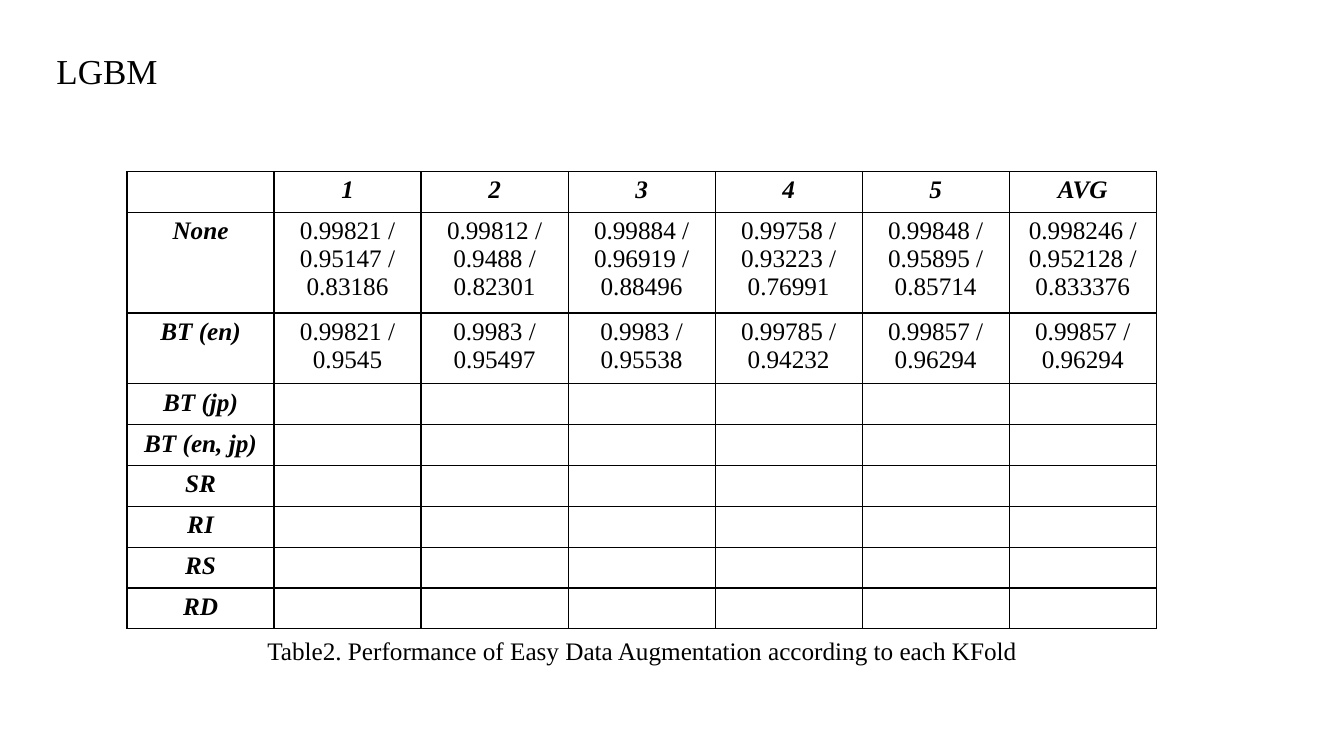
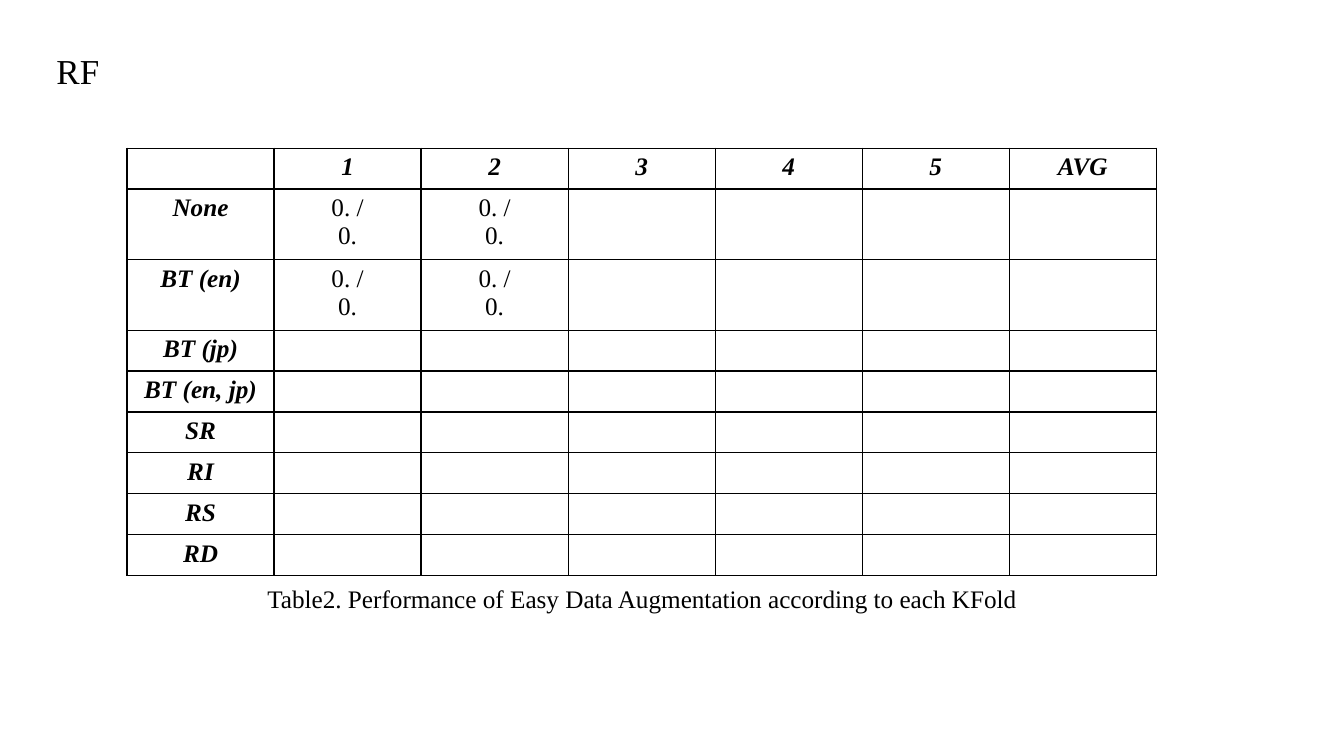
from dataclasses import dataclass

from lxml.etree import SubElement
from pptx import Presentation
from pptx.dml.color import RGBColor
from pptx.enum.text import MSO_ANCHOR, PP_ALIGN
from pptx.oxml.ns import qn
from pptx.util import Inches, Pt


@dataclass(frozen=True)
class Theme:
    font: str = "Times New Roman"
    ink: str = "000000"
    paper: str = "FFFFFF"
    title: int = 25
    body: int = 18
    border: int = 1


T = Theme()
CAPTION = "Table2. Performance of Easy Data Augmentation according to each KFold"
FOLDS = ["", "1", "2", "3", "4", "5", "AVG"]
METHODS = ["None", "BT (en)", "BT (jp)", "BT (en, jp)", "SR", "RI", "RS", "RD"]
ROW_HEIGHTS = {1: 3.65 / 9, 2: 0.7, 3: 1.0}  # by number of text lines

# Per slide: title, table top, caption top, scores by method
SLIDES = [
    ("LGBM", 1.7, 6.25, {
        "None": ["0.99821 /\n0.95147 /\n0.83186", "0.99812 /\n0.9488 /\n0.82301",
                 "0.99884 /\n0.96919 /\n0.88496", "0.99758 /\n0.93223 /\n0.76991",
                 "0.99848 /\n0.95895 /\n0.85714", "0.998246 /\n0.952128 /\n0.833376"],
        "BT (en)": ["0.99821 / 0.9545", "0.9983 /\n0.95497", "0.9983 /\n0.95538",
                    "0.99785 /\n0.94232", "0.99857 /\n0.96294", "0.99857 /\n0.96294"],
    }),
    ("RF", 1.47, 5.74, {
        "None": ["0. /\n0."] * 2,
        "BT (en)": ["0. /\n0."] * 2,
    }),
]


def write(tf, text, size=T.body, align=PP_ALIGN.CENTER, **style):
    """Fill a text frame, one paragraph per line of text."""
    tf.text = text
    for p in tf.paragraphs:
        p.alignment = align
        p.line_spacing = 1.0
        for r in p.runs:
            r.font.color.rgb = RGBColor.from_string(T.ink)
            for name, value in {"name": T.font, "size": Pt(size), **style}.items():
                setattr(r.font, name, value)


def add_borders(cell):
    tcPr = cell._tc.get_or_add_tcPr()
    for side in ("a:lnL", "a:lnR", "a:lnT", "a:lnB"):
        ln = SubElement(tcPr, qn(side), w=str(Pt(T.border)))
        SubElement(SubElement(ln, qn("a:solidFill")), qn("a:srgbClr"), val=T.ink)


prs = Presentation()
prs.slide_width, prs.slide_height = Inches(13.33), Inches(7.5)

for title, table_top, caption_top, scores in SLIDES:
    s = prs.slides.add_slide(prs.slide_layouts[5])
    s.background.fill.solid()
    s.background.fill.fore_color.rgb = RGBColor.from_string(T.paper)

    sp = s.shapes.title
    box = {"left": 0.46, "top": 0.44, "width": 6, "height": 0.52}
    for name, value in box.items():
        setattr(sp, name, Inches(value))
    sp.text_frame.vertical_anchor = MSO_ANCHOR.TOP
    write(sp.text_frame, title, T.title, PP_ALIGN.LEFT)

    rows = [FOLDS]
    for method in METHODS:
        values = scores.get(method, [])
        rows.append([method] + values + [""] * (len(FOLDS) - 1 - len(values)))

    heights = [Inches(ROW_HEIGHTS[max(text.count("\n") + 1 for text in row)]) for row in rows]
    table = s.shapes.add_table(len(rows), len(FOLDS), Inches(1.26), Inches(table_top),
                               Inches(10.21), sum(heights)).table
    table.first_row = table.horz_banding = False
    for i, row in enumerate(rows):
        table.rows[i].height = heights[i]
        for j, text in enumerate(row):
            cell = table.cell(i, j)
            heading = i == 0 or j == 0
            write(cell.text_frame, text, bold=heading, italic=heading)
            add_borders(cell)
            cell.fill.background()

    sp = s.shapes.add_textbox(Inches(2.51), Inches(caption_top), Inches(7.72), Inches(0.4))
    sp.text_frame.word_wrap = False
    write(sp.text_frame, CAPTION)

prs.save("out.pptx")
